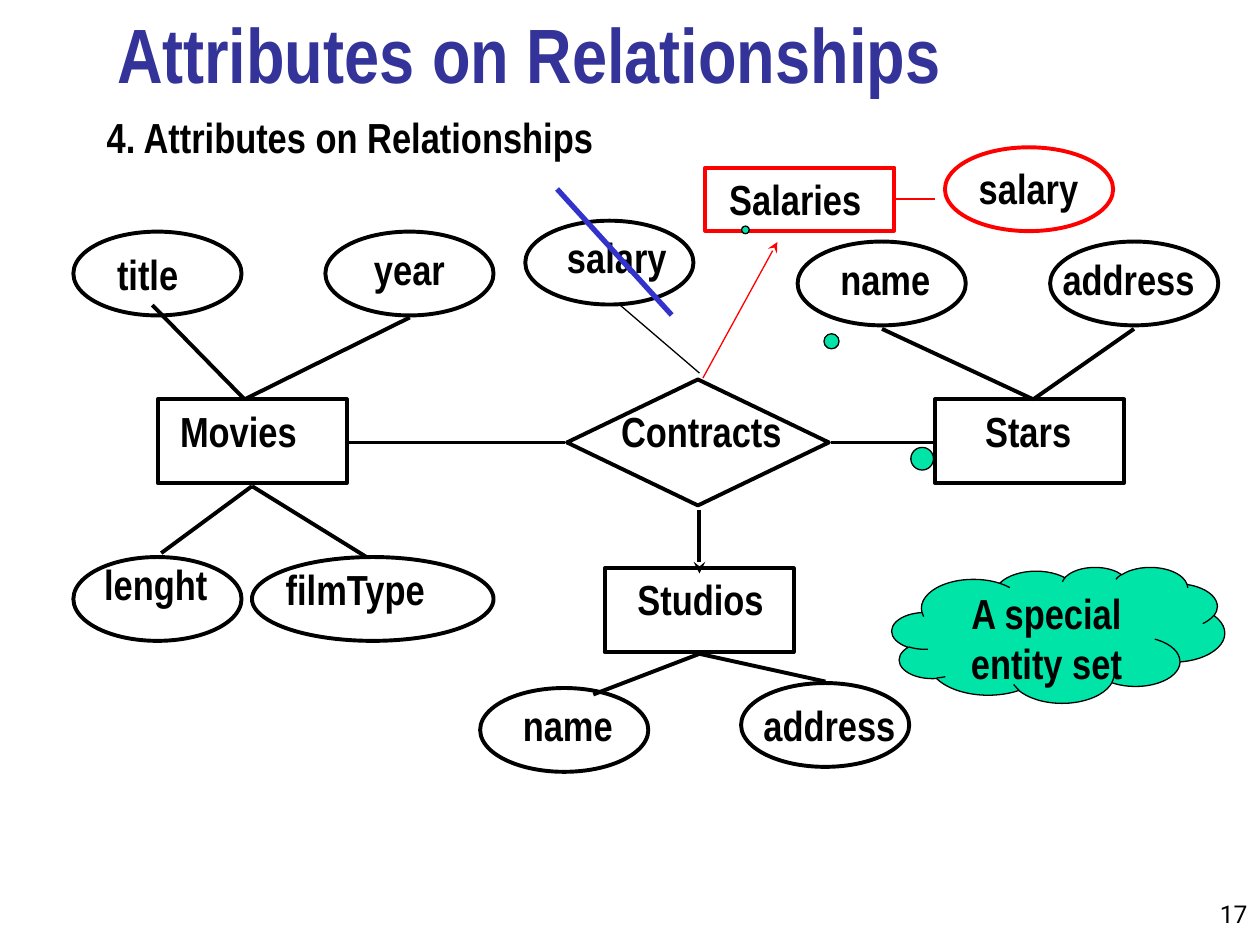
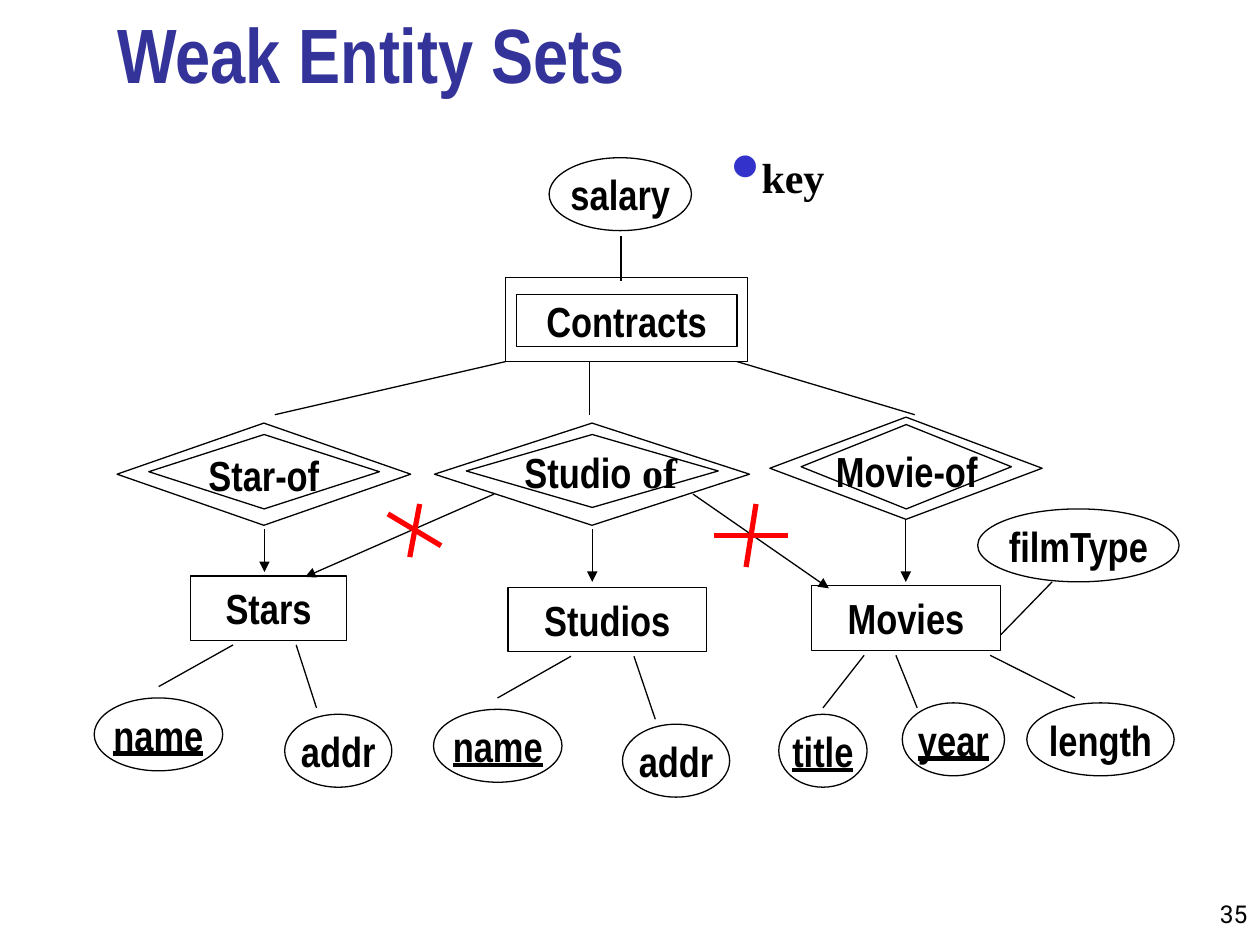
import dataclasses
import lxml.etree
import pptx
import pptx.dml.color
import pptx.enum.shapes
import pptx.enum.text
import pptx.oxml.ns
import pptx.util

Cm = pptx.util.Cm
Pt = pptx.util.Pt
Shape = pptx.enum.shapes.MSO_SHAPE
Align = pptx.enum.text.PP_ALIGN
Anchor = pptx.enum.text.MSO_ANCHOR


@dataclasses.dataclass(frozen=True)
class Theme:
    ink: str = "000000"
    title: str = "333399"
    blue: str = "3333CC"
    red: str = "FF0000"
    green: str = "00E4A8"
    sans: str = "Arial Narrow"
    serif: str = "Times New Roman"
    digit: str = "Roboto"
    head: int = 44
    body: int = 24
    small: int = 14
    thin: float = 0.75
    thick: float = 2.25
    bold: float = 3


THEME = Theme()


def tint(code):
    return pptx.dml.color.RGBColor.from_string(code)


def add_tag(parent, name, **attrs):
    return lxml.etree.SubElement(parent, pptx.oxml.ns.qn(name), attrs)


def style(part, size=THEME.body, color=THEME.ink, face=THEME.sans, bold=True, under=None):
    font = part.font
    font.size = Pt(size)
    font.color.rgb = tint(color)
    font.name = face
    font.bold = bold
    font.underline = under


def write(frame, text, align=Align.LEFT, anchor=Anchor.TOP, wrap=True, inset=True, **look):
    frame.word_wrap = wrap
    frame.vertical_anchor = anchor
    if not inset:
        frame.margin_left = frame.margin_right = 0
        frame.margin_top = frame.margin_bottom = 0
    line = frame.paragraphs[0]
    line.alignment = align
    if text:
        line.add_run().text = text
    style(line, **look)
    return line


def add_text(slide, box, text, **look):
    frame = slide.shapes.add_textbox(*map(Cm, box)).text_frame
    return write(frame, text, **look)


def add_label(slide, x, y, w, text):
    add_text(slide, (x, y, w, 1.27), text, wrap=False)


def add_node(slide, kind, box, weight, color=THEME.ink, fill=None):
    node = slide.shapes.add_shape(kind, *map(Cm, box))
    node.shadow.inherit = False
    node.line.color.rgb = tint(color)
    node.line.width = Pt(weight)
    if fill:
        node.fill.solid()
        node.fill.fore_color.rgb = tint(fill)
    else:
        node.fill.background()
    return node


def add_named(slide, kind, box, text, **look):
    node = add_node(slide, kind, box, THEME.thin)
    write(node.text_frame, text, align=Align.CENTER, anchor=Anchor.MIDDLE, **look)


def add_line(slide, start, end, weight=THEME.thin, color=THEME.ink, tip=None):
    line = slide.shapes.add_connector(
        pptx.enum.shapes.MSO_CONNECTOR.STRAIGHT, *map(Cm, start + end))
    line.line.color.rgb = tint(color)
    line.line.width = Pt(weight)
    if tip:
        add_tag(line.line._get_or_add_ln(), "a:tailEnd", type=tip)
    add_tag(line._element.spPr, "a:effectLst")


def add_rays(slide, hub, ends, weight):
    for end in ends:
        add_line(slide, hub, end, weight)


def add_bullet(slide, box, text):
    line = add_text(slide, box, None)
    props = line._p.get_or_add_pPr()
    for old in list(props):
        props.remove(old)
    props.set("marL", "0")
    props.set("indent", "0")
    add_tag(add_tag(props, "a:buClr"), "a:srgbClr", val=THEME.blue)
    add_tag(props, "a:buSzPct", val="200000")
    add_tag(props, "a:buChar", char="•")
    line.add_run().text = text
    style(line, face=THEME.serif)


def add_page(deck, title, number):
    slide = deck.slides.add_slide(deck.slide_layouts[6])
    add_text(slide, (23.7, 17.58, 1.7, 1.27), number, align=Align.RIGHT,
             anchor=Anchor.BOTTOM, size=THEME.small, face=THEME.digit, bold=False)
    add_text(slide, (2.11, 0.2, 21.64, 1.91), title, anchor=Anchor.BOTTOM,
             size=THEME.head, color=THEME.title)
    return slide


def draw_roles(deck):
    slide = add_page(deck, "Attributes on Relationships", "17")
    thick = THEME.thick
    for x, y in ((3.18, 8.05), (18.85, 8.05), (12.19, 11.46)):
        add_node(slide, Shape.RECTANGLE, (x, y, 3.81, 1.69), thick)
    add_node(slide, Shape.FLOWCHART_DECISION, (11.43, 7.65, 5.28, 2.54), thick)
    ovals = ((1.48, 4.67), (6.56, 4.67), (1.48, 11.23), (16.08, 4.87),
             (21.17, 4.87), (9.68, 13.87), (14.94, 13.77), (10.59, 4.45))
    for x, y in ovals:
        add_node(slide, Shape.OVAL, (x, y, 3.39, 1.69), thick)
    add_node(slide, Shape.OVAL, (5.08, 11.23, 4.87, 1.69), thick)
    add_node(slide, Shape.OVAL, (19.05, 2.97, 3.39, 1.69), thick, THEME.red)
    add_node(slide, Shape.RECTANGLE, (14.22, 3.38, 3.81, 1.27), thick, THEME.red)

    labels = (
        (3.38, 8.05, 2.87, "Movies"), (19.61, 8.05, 2.26, "Stars"),
        (12.27, 8.05, 3.76, "Contracts"), (12.6, 11.43, 3.05, "Studios"),
        (2.11, 4.88, 1.75, "title"), (7.29, 4.78, 1.96, "year"),
        (1.85, 11.13, 2.59, "lenght"), (5.51, 11.23, 3.81, "filmType"),
        (16.69, 4.98, 2.34, "name"), (21.17, 4.98, 3.18, "address"),
        (10.29, 13.97, 2.34, "name"), (15.14, 13.97, 3.18, "address"),
        (11.18, 4.55, 2.51, "salary"), (19.48, 3.15, 2.51, "salary"),
        (14.45, 3.38, 3.18, "Salaries"),
    )
    for label in labels:
        add_label(slide, *label)

    add_rays(slide, (4.93, 8.05), ((3.07, 6.15), (8.26, 6.4)), thick)
    add_rays(slide, (5.08, 9.8), ((3.25, 11.15), (7.39, 11.23)), thick)
    add_rays(slide, (20.83, 8.05), ((17.78, 6.63), (22.86, 6.63)), thick)
    add_rays(slide, (14.1, 13.18), ((11.96, 14), (16.64, 13.74)), thick)
    add_line(slide, (7.04, 8.92), (11.38, 8.92), thick)
    add_line(slide, (16.76, 8.92), (18.8, 8.92), thick)
    add_line(slide, (14.1, 10.29), (14.1, 11.56), thick, tip="stealth")
    add_line(slide, (14.1, 7.52), (12.5, 6.15))
    add_line(slide, (17.98, 4.01), (18.85, 4.01), color=THEME.red)
    add_line(slide, (14.17, 7.62), (15.67, 4.88), color=THEME.red, tip="stealth")
    add_line(slide, (11.23, 3.81), (13.54, 6.35), THEME.bold, THEME.blue)

    cloud = add_node(slide, Shape.CLOUD_CALLOUT, (17.98, 11.43, 6.71, 2.74),
                     THEME.thin, fill=THEME.green)
    cloud.adjustments[0] = -0.94
    cloud.adjustments[1] = -2.98
    write(cloud.text_frame, "A special entity set", align=Align.CENTER, inset=False)
    add_text(slide, (1.9, 2.13, 16.41, 1.27), "4. Attributes on Relationships")


def draw_weak(deck):
    slide = add_page(deck, "Weak Entity Sets", "35")
    add_named(slide, Shape.DIAMOND, (2.36, 8.53, 5.92, 2.06), "Star-of", inset=False)
    frames = ((8.76, 8.53, 6.35, 2.06), (15.52, 8.41, 5.49, 2.06), (3, 8.76, 4.65, 1.5),
              (9.4, 8.76, 5.08, 1.47), (16.15, 8.56, 4.24, 1.7))
    for box in frames:
        add_node(slide, Shape.DIAMOND, box, THEME.thin)
    add_text(slide, (16.59, 8.99, 3.38, 1.02), "Movie-of", align=Align.CENTER, inset=False)
    studio = add_text(slide, (10.41, 9.19, 3.4, 0.81), "Studio", align=Align.CENTER, inset=False)
    studio.line_spacing = 0.8
    tail = studio.add_run()
    tail.text = " of"
    tail.font.name = THEME.serif
    add_bullet(slide, (14.5, 2.92, 3.81, 1.27), "key")

    add_node(slide, Shape.RECTANGLE, (10.19, 5.59, 4.88, 1.7), THEME.thin)
    add_named(slide, Shape.RECTANGLE, (10.41, 5.94, 4.45, 1.04), "Contracts", inset=False)
    for x, y, w, text in ((3.84, 11.61, 3.15, "Stars"), (10.24, 11.84, 4.01, "Studios"),
                          (16.36, 11.81, 3.81, "Movies")):
        add_named(slide, Shape.RECTANGLE, (x, y, w, 1.3), text)

    ovals = (
        (11.07, 3.18, 2.87, "salary", None), (1.9, 14.07, 2.59, "name", True),
        (5.74, 14.4, 2.16, "addr", None), (8.74, 14.3, 2.59, "name", True),
        (12.55, 14.6, 2.16, "addr", None), (15.7, 14.4, 1.78, "title", True),
        (18.19, 14.17, 2.06, "year", True), (20.7, 14.17, 2.97, "length", None),
        (19.71, 10.26, 4.06, "filmType", None),
    )
    for x, y, w, text, key in ovals:
        add_named(slide, Shape.OVAL, (x, y, w, 1.47), text, wrap=False, inset=False, under=key)

    links = (
        ((10.19, 7.29), (5.54, 8.36)), ((11.89, 7.29), (11.89, 8.36)),
        ((14.86, 7.29), (18.44, 8.36)), ((12.52, 5.66), (12.52, 4.75)),
        ((4.7, 13), (3.2, 13.84)), ((5.97, 13), (6.38, 14.27)),
        ((11.51, 13.23), (10.03, 14.07)), ((12.78, 13.23), (13.21, 14.5)),
        ((17.42, 13.21), (16.59, 14.27)), ((18.06, 13.21), (18.49, 14.27)),
        ((19.96, 13.21), (21.67, 14.07)), ((20.17, 12.8), (21.21, 11.73)),
    )
    for start, end in links:
        add_line(slide, start, end)
    arrows = (
        ((5.33, 10.67), (5.33, 11.53)), ((11.94, 10.67), (11.94, 11.73)),
        ((18.26, 10.46), (18.26, 11.73)), ((9.96, 9.96), (6.15, 11.63)),
        ((13.97, 9.96), (16.71, 11.86)),
    )
    for start, end in arrows:
        add_line(slide, start, end, tip="triangle")
    strikes = (
        ((7.82, 10.36), (8.89, 11)), ((8.46, 10.16), (8.26, 11.23)),
        ((14.4, 10.8), (15.88, 10.8)), ((15.24, 10.16), (15.04, 11.43)),
    )
    for start, end in strikes:
        add_line(slide, start, end, THEME.bold, THEME.red)


def main():
    deck = pptx.Presentation()
    deck.slide_width = Cm(25.4)
    deck.slide_height = Cm(19.05)
    draw_roles(deck)
    draw_weak(deck)
    deck.save("out.pptx")


if __name__ == "__main__":
    main()
